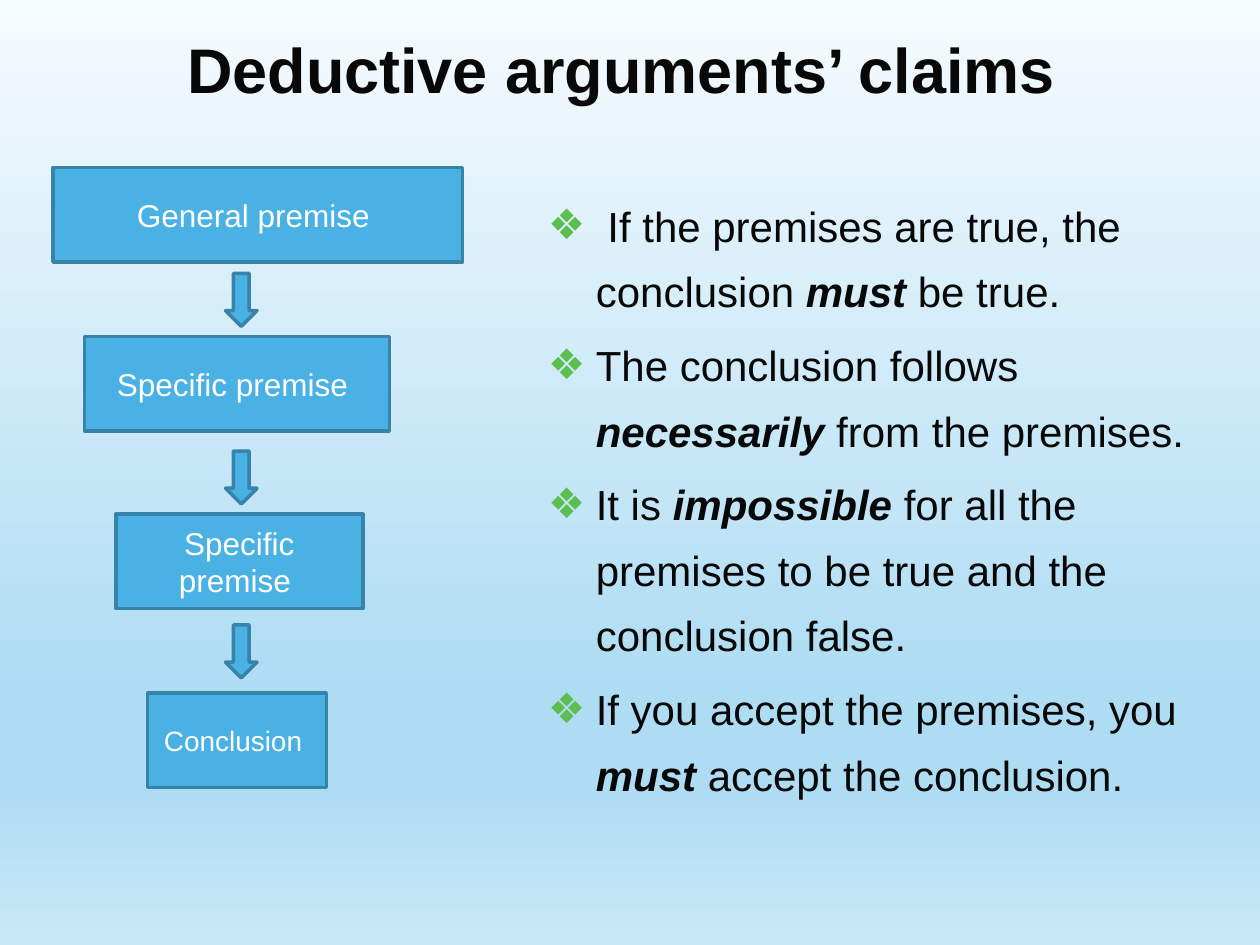
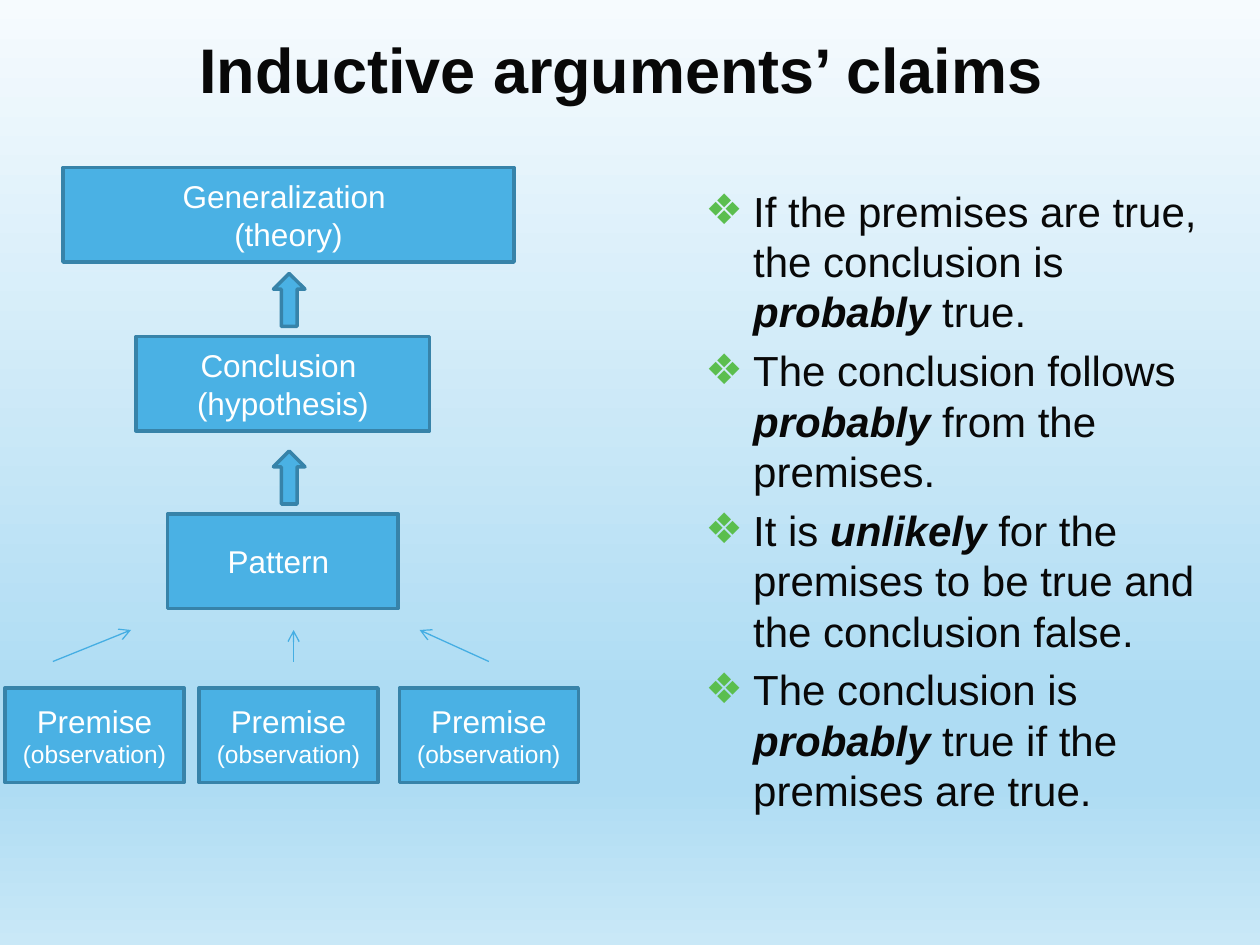
from lxml.etree import SubElement
from pptx import Presentation
from pptx.dml.color import RGBColor
from pptx.enum.shapes import MSO_CONNECTOR, MSO_SHAPE
from pptx.enum.text import MSO_ANCHOR, PP_ALIGN
from pptx.oxml.ns import qn
from pptx.util import Inches, Pt

FONT = "Arial"
HUE = {"ink": "080808", "box": "4AB1E4", "edge": "3783A9", "line": "45AEE3",
       "mark": "5BBE4E", "white": "FFFFFF"}
SKY = [(0, "F6FBFE"), (74, "AEDCF3"), (83, "AEDCF3"), (100, "C9E8F7")]
HIGH = 0.75
WIDE = 1.42

DEDUCT = {
    "title": "Deductive arguments’ claims ",
    "tower": (0.42, 1.33),
    "boxes": [(0, 0, 3.25, [("General premise ", 18)]),
              (0.25, 1.34, 2.42, [("Specific premise ", 18)]),
              (0.5, 2.75, 1.96, [("Specific premise ", 18)]),
              (0.75, 4.17, WIDE, [("Conclusion ", 16)])],
    "arrows": (MSO_SHAPE.DOWN_ARROW, 1.37, [0.84, 2.25, 3.63]),
    "claims": (4.25, 1.42, 5.75, 5.5),
    "pitch": 1.3,
    "points": ["\u00a0If the premises are true, the conclusion *must *be true.",
               "The conclusion follows *necessarily* from the premises.",
               "It is *impossible *for all the premises to be true and the conclusion false.",
               "If you accept the premises, you *must *accept the conclusion."],
}
INDUCT = {
    "title": "Inductive arguments’ claims ",
    "tower": (0.5, 1.33),
    "boxes": [(0, 0, 3.58, [("Generalization ", 18), ("(theory)", 18)]),
              (0.58, 1.34, 2.33, [("Conclusion ", 18), ("(hypothesis)", 18)]),
              (0.83, 2.75, 1.83, [("Pattern ", 18)])],
    "arrows": (MSO_SHAPE.UP_ARROW, 1.67, [0.84, 2.25]),
    "claims": (5.5, 1.42, 4.33, 5.5),
    "pitch": 1.0,
    "points": ["If the premises are true, the conclusion is *probably* true.",
               "The conclusion follows *probably *from the premises.",
               "It is *unlikely* for the premises to be true and the conclusion false.",
               "The conclusion is *probably *true if the premises are true."],
}


def tint(name):
    """Return the named colour."""
    return RGBColor.from_string(HUE[name])


def style(para, size, hue):
    """Set the font of a whole paragraph."""
    para.font.name = FONT
    para.font.size = Pt(size)
    para.font.color.rgb = tint(hue)


def sky(page):
    """Fill the background with the shared gradient."""
    fill = page.background.fill
    fill.gradient()
    fill.gradient_angle = 270
    stops = page.background._cSld.find(".//" + qn("a:gsLst"))
    for stop in list(stops):
        stops.remove(stop)
    for pos, hue in SKY:
        stop = SubElement(stops, qn("a:gs"), pos=str(pos * 1000))
        SubElement(stop, qn("a:srgbClr"), val=hue)


def head(slide, text):
    """Place and format the title."""
    title = slide.shapes.title
    title.left, title.top = Inches(0.5), Inches(0.25)
    title.width, title.height = Inches(9), Inches(0.58)
    frame = title.text_frame
    frame.text = text
    frame.vertical_anchor = MSO_ANCHOR.MIDDLE
    para = frame.paragraphs[0]
    para.alignment = PP_ALIGN.CENTER
    style(para, 36, "ink")
    para.font.bold = True


def block(slide, kind, x, y, w, h, lines=()):
    """Draw one outlined shape with centred lines of text."""
    shape = slide.shapes.add_shape(kind, Inches(x), Inches(y), Inches(w), Inches(h))
    shape.shadow.inherit = False
    shape.fill.solid()
    shape.fill.fore_color.rgb = tint("box")
    shape.line.color.rgb = tint("edge")
    shape.line.width = Pt(2)
    frame = shape.text_frame
    frame.vertical_anchor = MSO_ANCHOR.MIDDLE
    for i, (text, size) in enumerate(lines):
        para = frame.add_paragraph() if i else frame.paragraphs[0]
        para.text = text
        para.alignment = PP_ALIGN.CENTER
        style(para, size, "white")


def tower(slide, x, y, boxes, arrows):
    """Stack the boxes and the block arrows between them."""
    for dx, dy, w, lines in boxes:
        block(slide, MSO_SHAPE.RECTANGLE, x + dx, y + dy, w, HIGH, lines)
    kind, dx, drops = arrows
    for dy in drops:
        block(slide, kind, x + dx, y + dy, 0.25, 0.42)


def ray(slide, x, y, end, top):
    """Draw a thin arrow."""
    line = slide.shapes.add_connector(
        MSO_CONNECTOR.STRAIGHT, Inches(x), Inches(y), Inches(end), Inches(top))
    line.line.color.rgb = tint("line")
    line.line.width = Pt(0.75)
    SubElement(line.line._get_or_add_ln(), qn("a:tailEnd"), type="arrow")
    SubElement(line._element.spPr, qn("a:effectLst"))


def base(slide, x, y):
    """Draw the row of premises and the rays that rise from it."""
    lines = [("Premise", 18), ("(observation)", 14)]
    for dx in (0, 1.54, 3.13):
        block(slide, MSO_SHAPE.RECTANGLE, x + dx, y, WIDE, HIGH, lines)
    for start, end in ((0.38, 1), (2.29, 2.29), (3.84, 3.29)):
        ray(slide, x + start, y - 0.21, x + end, y - 0.46)


def claims(slide, x, y, w, h, points, pitch):
    """Write the bulleted claims, with starred words in bold italics."""
    box = slide.shapes.add_textbox(Inches(x), Inches(y), Inches(w), Inches(h))
    frame = box.text_frame
    frame.word_wrap = True
    for i, point in enumerate(points):
        para = frame.add_paragraph() if i else frame.paragraphs[0]
        para.line_spacing = pitch
        para.space_before = Pt(4.8 if i else 0)
        props = para._p.get_or_add_pPr()
        props.set("marL", str(Inches(0.38)))
        props.set("indent", str(Inches(-0.38)))
        SubElement(SubElement(props, qn("a:buClr")), qn("a:srgbClr"), val=HUE["mark"])
        SubElement(props, qn("a:buFont"), typeface=FONT)
        SubElement(props, qn("a:buChar"), char="❖")
        style(para, 24, "ink")
        for j, text in enumerate(point.split("*")):
            run = para.add_run()
            run.text = text
            run.font.bold = run.font.italic = j % 2 == 1


def build(deck, plan):
    """Add one slide with a title, a tower and claims."""
    slide = deck.slides.add_slide(deck.slide_layouts[5])
    head(slide, plan["title"])
    claims(slide, *plan["claims"], plan["points"], plan["pitch"])
    tower(slide, *plan["tower"], plan["boxes"], plan["arrows"])
    return slide


def main():
    """Build both slides and save them."""
    deck = Presentation()
    deck.slide_width, deck.slide_height = Inches(10), Inches(7.5)
    sky(deck.slide_master)
    build(deck, DEDUCT)
    base(build(deck, INDUCT), 0.04, 5.46)
    deck.save("out.pptx")


if __name__ == "__main__":
    main()
